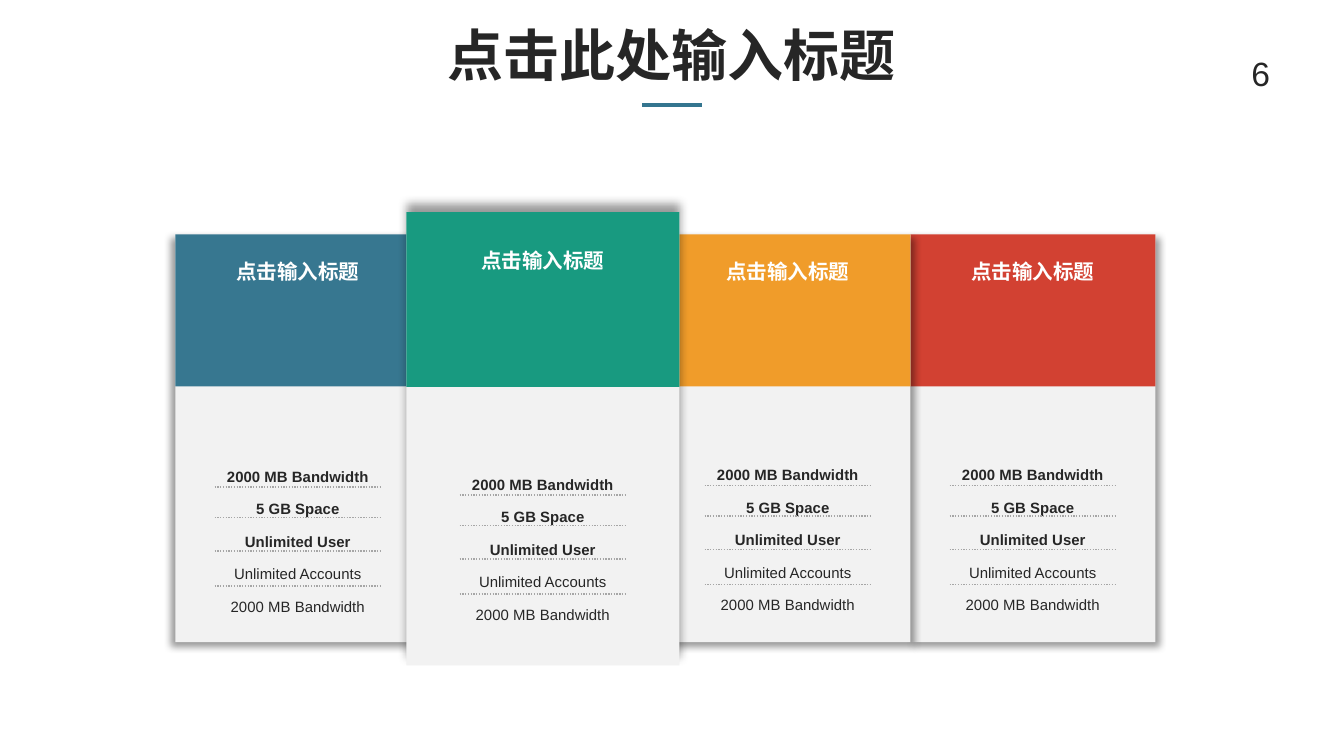
from lxml import etree
from pptx import Presentation
from pptx.dml.color import RGBColor
from pptx.enum.dml import MSO_LINE
from pptx.enum.shapes import MSO_CONNECTOR, MSO_SHAPE
from pptx.enum.text import MSO_ANCHOR, PP_ALIGN
from pptx.oxml import parse_xml
from pptx.oxml.ns import nsdecls, qn
from pptx.util import Cm, Pt

COLORS = {
    "blue": "377790", "green": "189A80", "orange": "F09C2A", "red": "D24132",
    "panel": "F2F2F2", "text": "262626", "white": "FFFFFF",
    "rule": "A6A6A6", "accent": "34758F", "shadow": "000000",
}
FEATURES = [
    ("2000 MB Bandwidth", True), ("5 GB Space", True), ("Unlimited User", True),
    ("Unlimited Accounts", False), ("2000 MB Bandwidth", False),
]
TALL = {"width": 5.16, "top": 4.01, "height": 8.56, "head": 3.3, "title": 4.67}
NORMAL = {"width": 4.63, "top": 4.43, "height": 7.7, "head": 2.87, "title": 4.88}
CARDS = [
    ("red", 3, NORMAL, 8.53, (4, 3, 45)),
    ("blue", 0, NORMAL, 8.56, (4, 3, 135)),
    ("orange", 2, NORMAL, 8.53, (4, 3, 45)),
    ("green", 1, TALL, 8.71, (5, 4.5, 270)),
]
FIRST_CENTER, PITCH = 5.63, 4.63
RULE_WIDTH, RULE_OFFSETS = 3.15, (0.64, 1.22, 1.85, 2.51)

prs = Presentation()
prs.slide_width, prs.slide_height = Cm(25.4), Cm(14.28)
s = prs.slides.add_slide(prs.slide_layouts[6])


def add_text(box, rows, size, color, align, frame, para):
    tf = s.shapes.add_textbox(*map(Cm, box)).text_frame
    for name, value in frame.items():
        setattr(tf, name, value)
    for i, (text, bold) in enumerate(rows):
        p = tf.paragraphs[0] if i == 0 else tf.add_paragraph()
        p.alignment = align
        for name, value in para.items():
            if i or name != "space_before":
                setattr(p, name, value)
        r = p.add_run()
        r.text = text
        font = {"name": "Arial", "size": Pt(size), "bold": bold}
        for name, value in font.items():
            setattr(r.font, name, value)
        r.font.color.rgb = RGBColor.from_string(COLORS[color])


def add_rule(left, y, width, color, weight, dash=None):
    line = s.shapes.add_connector(
        MSO_CONNECTOR.STRAIGHT, Cm(left), Cm(y), Cm(left + width), Cm(y))
    line.line.color.rgb = RGBColor.from_string(COLORS[color])
    line.line.width = Pt(weight)
    if dash:
        line.line.dash_style = dash
    etree.SubElement(line._element.spPr, qn("a:effectLst"))


add_rule(12.14, 1.98, 1.12, "accent", 2)

for color, column, card, _, (blur, dist, angle) in CARDS:
    left = FIRST_CENTER + column * PITCH - card["width"] / 2
    for fill, height in (("panel", card["height"]), (color, card["head"])):
        sp = s.shapes.add_shape(
            MSO_SHAPE.RECTANGLE, Cm(left), Cm(card["top"]), Cm(card["width"]), Cm(height))
        sp.shadow.inherit = False
        sp.fill.solid()
        sp.fill.fore_color.rgb = RGBColor.from_string(COLORS[fill])
        sp.line.fill.background()
        if fill == "panel":
            sp._element.spPr.find(qn("a:effectLst")).append(parse_xml(
                f'<a:outerShdw {nsdecls("a")} blurRad="{Pt(blur)}" dist="{Pt(dist)}" '
                f'dir="{angle * 60000}" algn="ctr" rotWithShape="0">'
                f'<a:srgbClr val="{COLORS["shadow"]}"><a:alpha val="40000"/></a:srgbClr>'
                '</a:outerShdw>'))

tight = {f"margin_{side}": 0 for side in ("left", "right", "top", "bottom")}
tight |= {"word_wrap": False, "vertical_anchor": MSO_ANCHOR.BOTTOM}
padded = {"margin_left": Cm(0.18), "margin_right": Cm(0.18),
          "margin_top": Cm(0.1), "margin_bottom": Cm(0.1),
          "word_wrap": True, "vertical_anchor": MSO_ANCHOR.TOP}

for color, column, card, top, shadow in CARDS:
    center = FIRST_CENTER + column * PITCH
    add_text((center - 1.18, card["title"], 2.36, 0.48), [("点击输入标题", True)],
             11, "white", PP_ALIGN.CENTER, tight, {})
    add_text((center - 1.8, top, 3.6, 3.18), FEATURES, 8, "text", PP_ALIGN.CENTER,
             padded, {"line_spacing": 1.5, "space_before": Pt(3)})
    for offset in RULE_OFFSETS:
        add_rule(center - RULE_WIDTH / 2, top + offset, RULE_WIDTH,
                 "rule", 0.75, MSO_LINE.ROUND_DOT)

add_text((1.75, 0.43, 21.9, 2.08), [("点击此处输入标题", True)], 30, "text",
         PP_ALIGN.CENTER, padded, {"line_spacing": 0.9})
add_text((23.47, 0.9, 1.35, 0.76), [("6", False)], 18, "text",
         PP_ALIGN.LEFT, padded, {})

prs.save("out.pptx")
